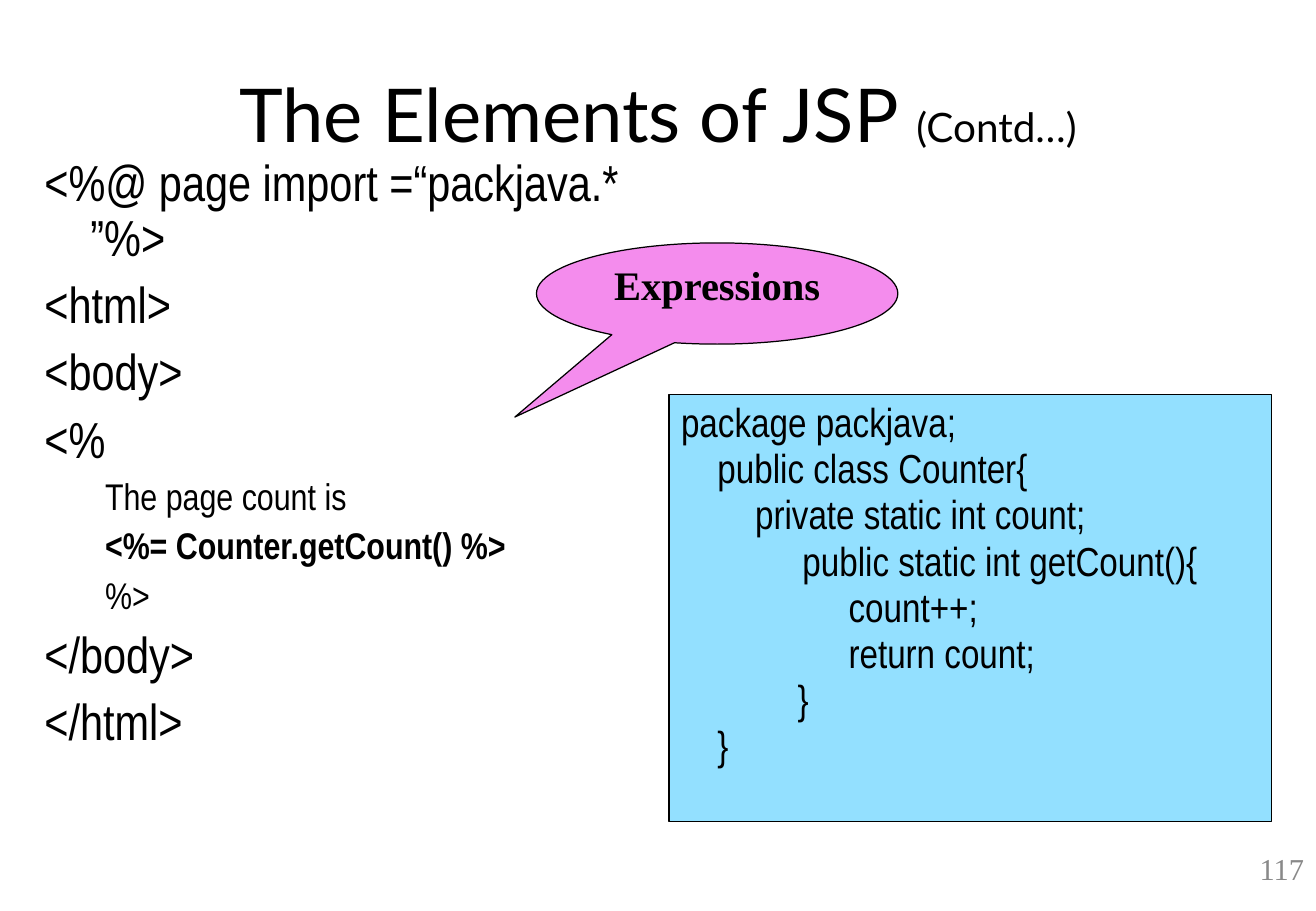
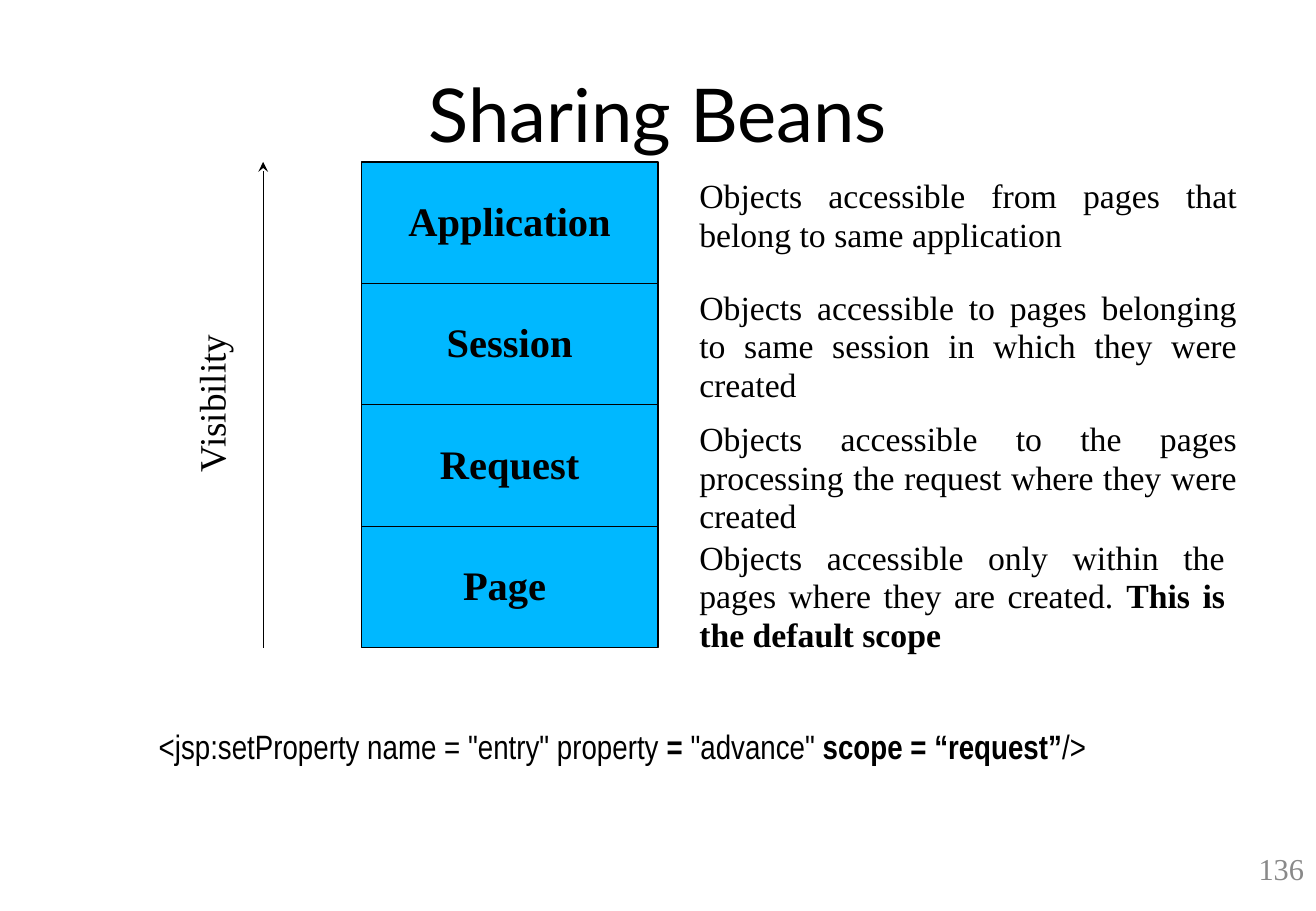
from lxml.etree import SubElement
from pptx import Presentation
from pptx.dml.color import RGBColor
from pptx.enum.shapes import MSO_CONNECTOR, MSO_SHAPE
from pptx.enum.text import MSO_ANCHOR, PP_ALIGN
from pptx.oxml.ns import qn
from pptx.util import Inches, Pt

BLACK = RGBColor(0x00, 0x00, 0x00)
GREY = RGBColor(0x89, 0x89, 0x89)
PALE_BLUE = RGBColor(0x93, 0xE0, 0xFF)
BRIGHT_BLUE = RGBColor(0x00, 0xB8, 0xFF)
PINK = RGBColor(0xF4, 0x8C, 0xED)

HEADING = "Lato"
CODE = "Arial Narrow"
PROSE = "Times New Roman"

WIDTH, HEIGHT = Inches(10.84), Inches(7.5)
COLUMNS, ROWS = 130, 90


def write(frame, text, font=PROSE, size=20, color=BLACK, bold=False,
          align=PP_ALIGN.LEFT, spacing=0.95, before=0, left=0, hang=0,
          same_line=False):
    paragraph = frame.paragraphs[-1]
    if paragraph.runs and not same_line:
        paragraph = frame.add_paragraph()
    if not same_line:
        paragraph.alignment = align
        paragraph.line_spacing = spacing
        paragraph.space_before = Pt(before)
        properties = paragraph._p.get_or_add_pPr()
        properties.set("marL", str(Inches(left)))
        properties.set("indent", str(-Inches(hang)))
    run = paragraph.add_run()
    run.text = text
    run.font.name = font
    run.font.size = Pt(size)
    run.font.bold = bold
    run.font.color.rgb = color


class Deck:
    def __init__(self):
        self.show = Presentation()
        self.show.slide_width, self.show.slide_height = WIDTH, HEIGHT
        self.slide = None

    def place(self, *grid):
        steps = (WIDTH / COLUMNS, HEIGHT / ROWS) * 2
        return [round(length * step) for length, step in zip(grid, steps)]

    def start(self, title, number, suffix=None):
        self.slide = self.show.slides.add_slide(self.show.slide_layouts[6])
        heading = self.text_area(6.5, 3.6, 117, 15, anchor=MSO_ANCHOR.MIDDLE)
        write(heading, title, font=HEADING, size=44, spacing=1.0, align=PP_ALIGN.CENTER)
        if suffix:
            write(heading, suffix, font=HEADING, size=24, same_line=True)
        footer = self.text_area(102.9, 84, 27.1, 4, anchor=MSO_ANCHOR.MIDDLE)
        write(footer, number, size=18, color=GREY, align=PP_ALIGN.RIGHT)

    def text_area(self, *grid, anchor=MSO_ANCHOR.TOP, wrap=True, rotation=0):
        area = self.slide.shapes.add_textbox(*self.place(*grid))
        area.rotation = rotation
        area.text_frame.word_wrap = wrap
        area.text_frame.vertical_anchor = anchor
        return area.text_frame

    def panel(self, *grid, color, kind=MSO_SHAPE.RECTANGLE,
              anchor=MSO_ANCHOR.TOP, adjustments=()):
        panel = self.slide.shapes.add_shape(kind, *self.place(*grid))
        panel.shadow.inherit = False
        panel.fill.solid()
        panel.fill.fore_color.rgb = color
        panel.line.color.rgb = BLACK
        panel.line.width = Pt(0.75)
        for index, value in enumerate(adjustments):
            panel.adjustments[index] = value
        panel.text_frame.word_wrap = True
        panel.text_frame.vertical_anchor = anchor
        return panel.text_frame

    def arrow(self, *grid):
        arrow = self.slide.shapes.add_connector(MSO_CONNECTOR.STRAIGHT, *self.place(*grid))
        arrow.line.color.rgb = BLACK
        arrow.line.width = Pt(0.75)
        SubElement(arrow.line._get_or_add_ln(), qn("a:tailEnd"), type="stealth")
        SubElement(arrow._element.spPr, qn("a:effectLst"))


def elements_slide(deck):
    deck.start("The Elements of JSP ", "117", suffix="(Contd…)")

    outer = dict(size=30, before=7.5, left=0.38, hang=0.38)
    inner = dict(size=22, before=5.5, left=0.81, hang=0.31)
    page_source = deck.text_area(3.2, 15, 59.6, 60)
    for line, level in (
        ("<%@ page import =“packjava.* ”%>", outer),
        ("<html>", outer),
        ("<body>", outer),
        ("<%", outer),
        ("The page count is", inner),
        ("<%= Counter.getCount() %>", {**inner, "bold": True}),
        ("%>", inner),
        ("</body>", outer),
        ("</html>", outer),
    ):
        write(page_source, line, font=CODE, spacing=0.9, **level)

    counter_class = deck.panel(66.1, 39, 59.5, 42.2, color=PALE_BLUE)
    for indent, line in (
        (0, "package packjava;"),
        (0.3, "public class Counter{"),
        (0.61, "private static int count;"),
        (1, "public static int getCount(){"),
        (1.38, "count++;"),
        (1.38, "return count;"),
        (0.96, "}"),
        (0.3, "}"),
    ):
        write(counter_class, line, font=CODE, size=24, left=indent)

    expressions = deck.panel(53, 24, 35.7, 10, color=PINK,
                             kind=MSO_SHAPE.OVAL_CALLOUT, adjustments=(-0.56, 1.22))
    write(expressions, "Expressions", size=24, bold=True, align=PP_ALIGN.CENTER)


def sharing_slide(deck):
    deck.start("Sharing Beans", "136")

    example = deck.text_area(14.5, 72, 94, 8, wrap=False)
    for index, (part, bold) in enumerate((
        ('<jsp:setProperty name = "entry" property', False),
        (" =", True),
        (' "advance" ', False),
        ("scope = “request”", True),
        ("/>", False),
    )):
        write(example, part, font=CODE, bold=bold, spacing=0.75, before=6,
              same_line=index > 0)

    top, step = 16, 12
    scopes = (
        ("Application", 17, "Objects accessible from pages that belong to same application"),
        ("Session", 28, "Objects accessible to pages belonging to same session in which they were created"),
        ("Request", 41, "Objects accessible to the pages processing the request where they were created"),
        ("Page ", 52.7, "Objects accessible only within the pages where they are created. "),
    )
    for index, (scope, row, meaning) in enumerate(scopes):
        level = deck.panel(35.7, top + index * step, 29.3, step,
                           color=BRIGHT_BLUE, anchor=MSO_ANCHOR.MIDDLE)
        write(level, scope, size=24, bold=True, align=PP_ALIGN.CENTER)
        is_default = index == len(scopes) - 1
        explanation = deck.text_area(67.9, row, 54.3 if is_default else 55.5, step)
        write(explanation, meaning, align=PP_ALIGN.JUSTIFY)
        if is_default:
            write(explanation, "This is the default scope", bold=True, same_line=True)

    deck.arrow(26, top + len(scopes) * step, 26, top)
    visibility = deck.text_area(12.5, 36.6, 17.1, 5.4, rotation=270)
    write(visibility, "Visibility", size=22)


def main():
    deck = Deck()
    elements_slide(deck)
    sharing_slide(deck)
    deck.show.save("out.pptx")


if __name__ == "__main__":
    main()
